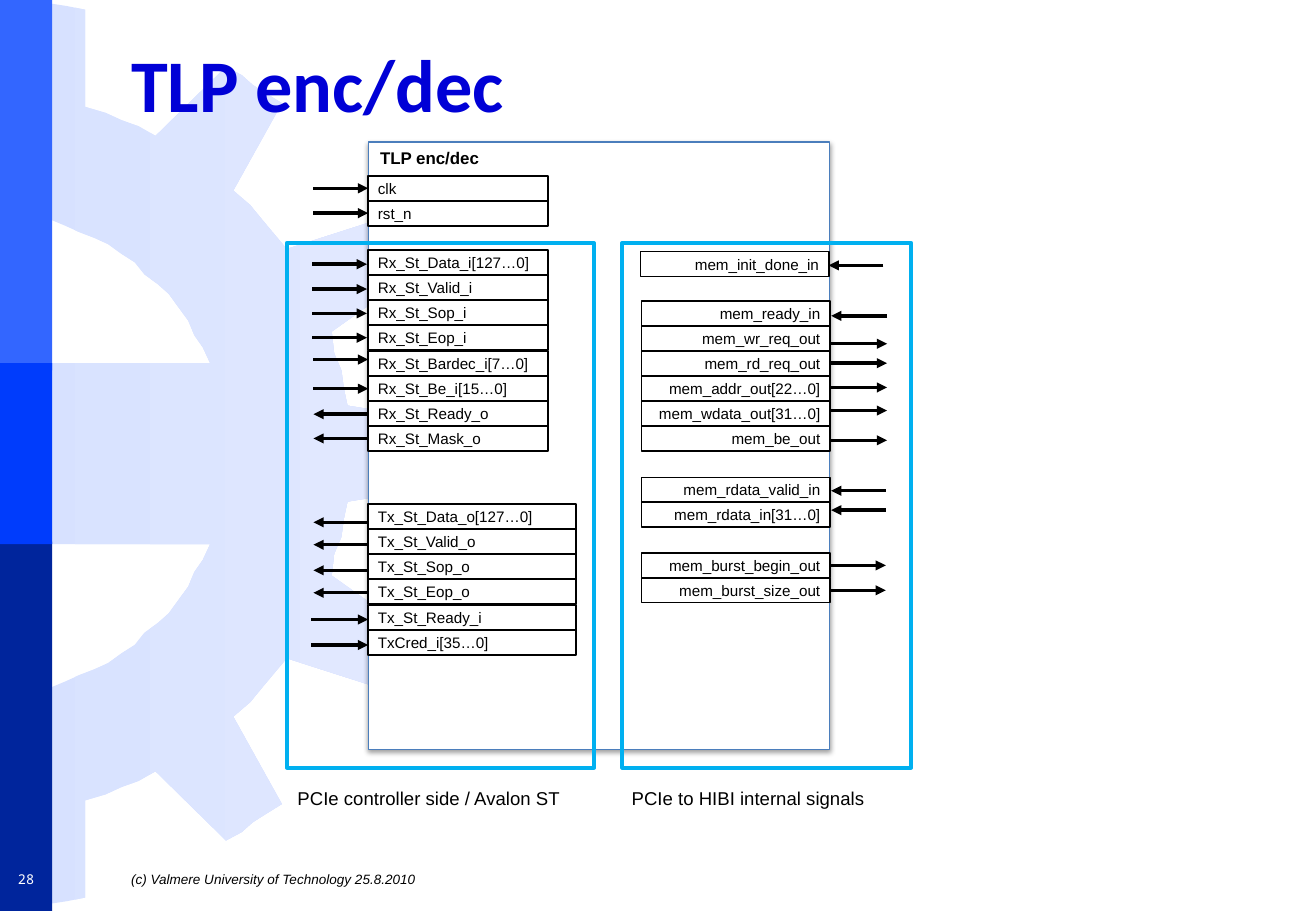
from dataclasses import dataclass
from typing import NamedTuple

from lxml import etree
from pptx import Presentation
from pptx.dml.color import RGBColor
from pptx.enum.shapes import MSO_CONNECTOR, MSO_SHAPE
from pptx.enum.text import MSO_ANCHOR, PP_ALIGN
from pptx.oxml.ns import qn
from pptx.util import Emu, Inches, Pt

RECTANGLE = MSO_SHAPE.RECTANGLE
STRAIGHT = MSO_CONNECTOR.STRAIGHT
TOP, MIDDLE = MSO_ANCHOR.TOP, MSO_ANCHOR.MIDDLE
LEFT, CENTER, RIGHT = PP_ALIGN.LEFT, PP_ALIGN.CENTER, PP_ALIGN.RIGHT

CELL = Inches(0.1)
COLUMNS, ROWS = 108.3, 75
PORT_PITCH = 2.06
GEAR_MIRROR = 74.7
BLACK, WHITE, FRAME_BLUE = "000000", "FFFFFF", "00B0F0"


class Box(NamedTuple):
    column: float
    row: float
    columns: float
    rows: float


class TextStyle(NamedTuple):
    size: float
    color: str = BLACK
    font: str = "Arial"
    bold: bool = False
    italic: bool = False
    align: PP_ALIGN = LEFT
    anchor: MSO_ANCHOR = MIDDLE
    margin_x: float = 1
    margin_y: float = 0.5


class Signal(NamedTuple):
    label: str
    is_input: bool
    arrow_row: float


@dataclass(frozen=True)
class PortGroup:
    column: float
    row: float
    columns: float
    inner: float
    outer: float
    align: PP_ALIGN
    signals: tuple[Signal, ...]


@dataclass(frozen=True)
class Label:
    wording: str
    box: Box
    style: TextStyle


GEAR_UPPER_HALF = (
    (37, 37.3), (37, 35.9), (36.7, 34.7), (28.6, 33.4), (28.3, 32), (28.1, 30.5),
    (27.5, 29.1), (27.3, 27.3), (33.8, 22.7), (33.3, 21.4), (32.7, 20.4),
    (32, 19.2), (31.4, 18), (23.6, 20.5), (22.5, 19.2), (21.5, 18), (20.6, 16.9),
    (19.2, 15.7), (23.2, 8.5), (21.9, 7.7), (20.8, 7), (19.9, 6.2), (18.6, 5.5),
    (12.8, 11.2), (11.4, 10.4), (10, 9.9), (8.7, 9.3), (7, 8.8), (7, 0.8),
    (5.5, 0.5), (4.2, 0.3), (2.9, 0.1), (1.4, 0), (1.4, 17.6), (2.8, 18),
    (4.2, 18.1), (5.4, 18.6), (6.5, 19.1), (7.8, 19.6), (8.9, 20.1), (10, 20.9),
    (11.1, 21.6), (11.9, 22.6), (13, 23.4), (13.9, 24.2), (14.7, 25.3),
    (15.5, 26.4), (16, 27.6), (16.7, 28.6), (17.3, 29.9), (0, 29.9),
)

SIDE_BANDS = (
    (Box(0, 0, 4.3, 30.5), "3366FF"),
    (Box(0, 44.6, 4.3, 30.4), "00259C"),
    (Box(0, 29.9, 4.3, 14.9), "003CFC"),
)

LABELS = (
    Label("TLP enc/dec", Box(9.8, 2.1, 93.9, 9.4),
          TextStyle(44, "0000D6", "Calibri", bold=True)),
    Label("(c) Valmere University of Technology 25.8.2010", Box(9.8, 71.1, 93.9, 2.6),
          TextStyle(8, italic=True)),
    Label("28", Box(0, 71.1, 4.3, 2.6),
          TextStyle(8, WHITE, "Noto Sans Mono", align=CENTER)),
    Label("PCIe controller side / Avalon ST", Box(23.5, 64.3, 26, 3.4),
          TextStyle(11, anchor=TOP)),
    Label("PCIe to HIBI internal signals", Box(51, 64.3, 23, 3.4),
          TextStyle(11, anchor=TOP)),
)

PORT_GROUPS = (
    PortGroup(30.3, 14.5, 14.8, 30.3, 25.8, LEFT, (
        Signal("clk", True, 15.5), Signal("rst_n", True, 17.55))),
    PortGroup(30.3, 20.6, 14.8, 30.2, 25.7, LEFT, (
        Signal("Rx_St_Data_i[127…0]", True, 21.75), Signal("Rx_St_Valid_i", True, 23.8),
        Signal("Rx_St_Sop_i", True, 25.8), Signal("Rx_St_Eop_i", True, 27.8))),
    PortGroup(30.3, 28.9, 14.8, 30.3, 25.8, LEFT, (
        Signal("Rx_St_Bardec_i[7…0]", True, 29.6), Signal("Rx_St_Be_i[15…0]", True, 32),
        Signal("Rx_St_Ready_o", False, 34.1), Signal("Rx_St_Mask_o", False, 36.1))),
    PortGroup(30.3, 41.5, 17.1, 30.3, 25.8, LEFT, (
        Signal("Tx_St_Data_o[127…0]", False, 43), Signal("Tx_St_Valid_o", False, 44.85),
        Signal("Tx_St_Sop_o", False, 46.95), Signal("Tx_St_Eop_o", False, 48.8))),
    PortGroup(30.3, 49.8, 17.1, 30.3, 25.6, LEFT, (
        Signal("Tx_St_Ready_i", True, 51), Signal("TxCred_i[35…0]", True, 53.1))),
    PortGroup(52.7, 20.7, 15.5, 68.2, 72.7, RIGHT, (
        Signal("mem_init_done_in", True, 21.85),)),
    PortGroup(52.8, 24.8, 15.5, 68.4, 73, RIGHT, (
        Signal("mem_ready_in", True, 26), Signal("mem_wr_req_out", False, 28.3),
        Signal("mem_rd_req_out", False, 29.9), Signal("mem_addr_out[22…0]", False, 31.9),
        Signal("mem_wdata_out[31…0]", False, 33.8), Signal("mem_be_out", False, 36.25))),
    PortGroup(52.8, 39.3, 15.5, 68.4, 72.9, RIGHT, (
        Signal("mem_rdata_valid_in", True, 40.4), Signal("mem_rdata_in[31…0]", True, 42))),
    PortGroup(52.8, 45.5, 15.5, 68.3, 72.9, RIGHT, (
        Signal("mem_burst_begin_out", False, 46.55),
        Signal("mem_burst_size_out", False, 48.6))),
)

SIDE_FRAMES = (Box(23.6, 20, 25.3, 43.2), Box(51.2, 20, 23.8, 43.2))


def cells(count: float) -> Emu:
    return Emu(round(count * CELL))


def paint(color_format, color: str) -> None:
    color_format.rgb = RGBColor.from_string(color)


def write(frame, wording: str, style: TextStyle) -> None:
    frame.word_wrap = True
    frame.vertical_anchor = style.anchor
    frame.margin_left = frame.margin_right = cells(style.margin_x)
    frame.margin_top = frame.margin_bottom = cells(style.margin_y)
    paragraph = frame.paragraphs[0]
    paragraph.text = wording
    paragraph.alignment = style.align
    font = paragraph.font
    font.name, font.size = style.font, Pt(style.size)
    font.bold, font.italic = style.bold, style.italic
    paint(font.color, style.color)


def draw_rectangle(shapes, box: Box, fill: str = "", line: str = "", weight: float = 1):
    rectangle = shapes.add_shape(RECTANGLE, *map(cells, box))
    rectangle.shadow.inherit = False
    if fill:
        rectangle.fill.solid()
        paint(rectangle.fill.fore_color, fill)
    else:
        rectangle.fill.background()
    if line:
        paint(rectangle.line.color, line)
        rectangle.line.width = Pt(weight)
    else:
        rectangle.line.fill.background()
    return rectangle


def draw_gear(shapes) -> None:
    lower_half = [(x, GEAR_MIRROR - y) for x, y in reversed(GEAR_UPPER_HALF[1:])]
    start, *rest = [(cells(x), cells(y)) for x, y in (*GEAR_UPPER_HALF, *lower_half)]
    builder = shapes.build_freeform(*start)
    builder.add_line_segments(rest, close=True)
    gear = builder.convert_to_shape()
    gear.shadow.inherit = False
    gear.line.fill.background()
    gear.fill.gradient()
    gear.fill.gradient_angle = 0
    for stop, color in zip(gear.fill.gradient_stops, ("D7E1FF", "E3EAFF")):
        paint(stop.color, color)


def draw_block(shapes) -> None:
    block = draw_rectangle(shapes, Box(30.3, 11.7, 38, 50), WHITE, "4B7EBC", 0.75)
    write(block.text_frame, "TLP enc/dec", TextStyle(10, bold=True, anchor=TOP))
    effects = block._element.spPr.find(qn("a:effectLst"))
    shadow = etree.SubElement(effects, qn("a:outerShdw"), blurRad=str(Pt(3.1)),
                              dist=str(Pt(1.6)), dir="5400000", rotWithShape="0")
    shade = etree.SubElement(shadow, qn("a:srgbClr"), val=BLACK)
    etree.SubElement(shade, qn("a:alpha"), val="38000")


def draw_arrow(shapes, start: float, end: float, row: float) -> None:
    arrow = shapes.add_connector(STRAIGHT, cells(start), cells(row), cells(end), cells(row))
    paint(arrow.line.color, BLACK)
    arrow.line.width = Pt(2)
    etree.SubElement(arrow.line._get_or_add_ln(), qn("a:tailEnd"), type="triangle")
    etree.SubElement(arrow._element.spPr, qn("a:effectLst"))


def draw_ports(shapes, group: PortGroup) -> None:
    style = TextStyle(9, align=group.align, margin_x=0.8, margin_y=0)
    for index, signal in enumerate(group.signals):
        box = Box(group.column, group.row + index * PORT_PITCH, group.columns, PORT_PITCH)
        port = draw_rectangle(shapes, box, WHITE, BLACK)
        write(port.text_frame, signal.label, style)
        ends = (group.outer, group.inner) if signal.is_input else (group.inner, group.outer)
        draw_arrow(shapes, *ends, signal.arrow_row)


def main() -> None:
    deck = Presentation()
    deck.slide_width, deck.slide_height = cells(COLUMNS), cells(ROWS)
    shapes = deck.slides.add_slide(deck.slide_layouts[6]).shapes
    draw_gear(shapes)
    for box, color in SIDE_BANDS:
        draw_rectangle(shapes, box, color)
    draw_block(shapes)
    for group in PORT_GROUPS:
        draw_ports(shapes, group)
    for box in SIDE_FRAMES:
        draw_rectangle(shapes, box, line=FRAME_BLUE, weight=2.25)
    for label in LABELS:
        write(shapes.add_textbox(*map(cells, label.box)).text_frame, label.wording, label.style)
    deck.save("out.pptx")


if __name__ == "__main__":
    main()
